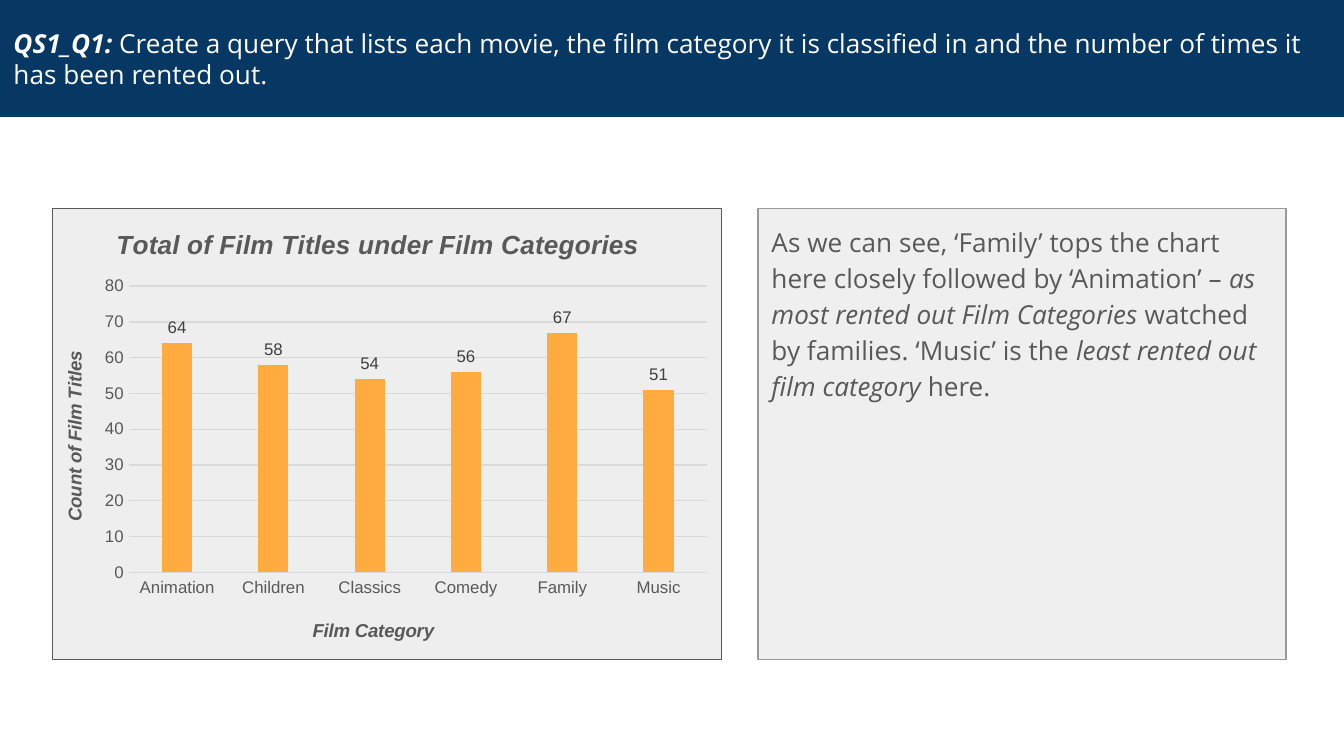
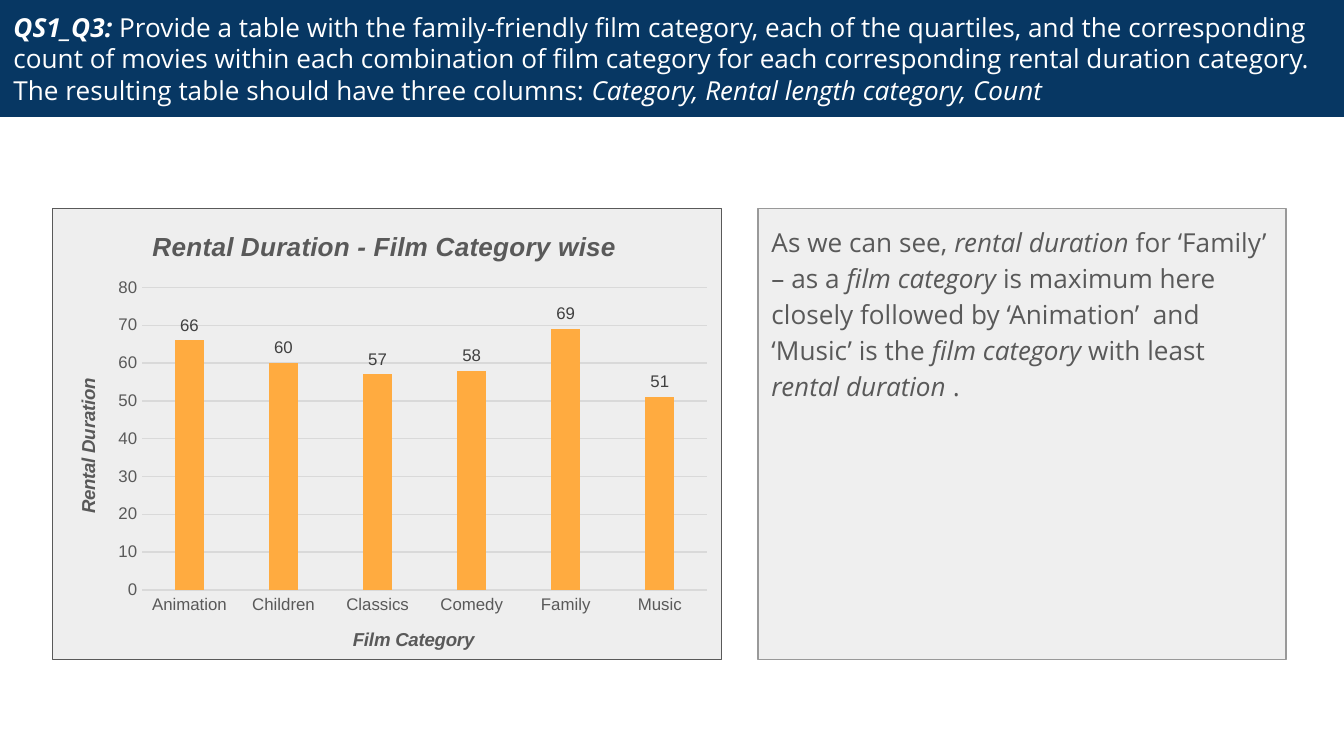
from pptx import Presentation
from pptx.chart.data import CategoryChartData
from pptx.dml.color import RGBColor
from pptx.enum.chart import XL_CHART_TYPE, XL_LABEL_POSITION, XL_TICK_MARK
from pptx.enum.shapes import MSO_SHAPE
from pptx.enum.text import MSO_ANCHOR, MSO_AUTO_SIZE, PP_ALIGN
from pptx.oxml import parse_xml
from pptx.oxml.ns import nsdecls, qn
from pptx.util import Inches, Pt

# Shared look
NAVY = RGBColor(0x07, 0x37, 0x63)
WHITE = RGBColor(0xFF, 0xFF, 0xFF)
ORANGE = RGBColor(0xFF, 0xAB, 0x40)
DARK_GREY = RGBColor(0x59, 0x59, 0x59)
LABEL_GREY = RGBColor(0x40, 0x40, 0x40)
EDGE_GREY = RGBColor(0x99, 0x99, 0x99)
GRID_GREY = RGBColor(0xD9, 0xD9, 0xD9)
PANEL_FILL = RGBColor(0xEE, 0xEE, 0xEE)
COMMENT_FILL = RGBColor(0xEF, 0xEF, 0xEF)
TEXT_FONT, CHART_FONT = "Open Sans", "Arial"

# Shared frames: left, top, width, height in inches
BAND = (0, 0, 10, 0.87)
PANEL = (0.39, 1.55, 4.98, 3.36)
COMMENT = (5.64, 1.55, 3.93, 3.36)

CATEGORIES = ["Animation", "Children", "Classics", "Comedy", "Family", "Music"]

# Text runs are (text, style): b is bold, i is italic
SLIDES = [
    {
        "question": [
            ("QS1_Q1: ", "bi"),
            ("Create a query that lists each movie, the film category it is "
             "classified in and the number of times it has been rented out.", ""),
        ],
        "comment": [
            ("As we can see, ‘Family’ tops the chart here closely followed by "
             "‘Animation’ – ", ""),
            ("as most rented out Film Categories", "i"),
            (" watched by families. ‘Music’ is the ", ""),
            ("least rented out film category ", "i"),
            ("here.", ""),
        ],
        "frame": (0.26, 1.55, 5.11, 3.36),
        "plot": (0.96, 2.13, 4.3, 2.13),
        "values": [64, 58, 54, 56, 67, 51],
        "heading": ("Total of Film Titles under Film Categories", 0.83, 1.66),
        "category_title": ("Film Category", 2.3, 4.58),
        "value_title": ("Count of Film Titles", 0.44, 2.59),
    },
    {
        "question": [
            ("QS1_Q3:", "bi"),
            (" Provide a table with the family-friendly film category, each of "
             "the quartiles, and the corresponding count of movies within each "
             "combination of film category for each corresponding rental "
             "duration category. The resulting table should have three "
             "columns: ", ""),
            ("Category, Rental length category, Count", "i"),
        ],
        "comment": [
            ("As we can see, ", ""),
            ("rental duration", "i"),
            (" for ‘Family’ – as a ", ""),
            ("film category", "i"),
            (" is maximum here closely followed by ‘Animation’  and "
             "‘Music’ is the ", ""),
            ("film category ", "i"),
            ("with least ", ""),
            ("rental duration", "i"),
            (" .", ""),
        ],
        "frame": (0.36, 1.55, 5, 3.49),
        "plot": (1.06, 2.14, 4.2, 2.25),
        "values": [66, 60, 57, 58, 69, 51],
        "heading": ("Rental Duration - Film Category wise", 1.1, 1.67),
        "category_title": ("Film Category", 2.6, 4.64),
        "value_title": ("Rental Duration", 0.54, 2.79),
    },
]


def style_font(font, name, size, color, style=""):
    font.name, font.size = name, Pt(size)
    font.color.rgb = color
    font.bold, font.italic = "b" in style, "i" in style


def paint(shape, fill, edge=None):
    shape.fill.solid()
    shape.fill.fore_color.rgb = fill
    if edge is None:
        shape.line.fill.background()
    else:
        shape.line.color.rgb = edge
        shape.line.width = Pt(0.75)


def fill_placeholder(holder, frame, runs, color, anchor):
    """Move a placeholder and write its one paragraph; return the paragraph."""
    holder.left, holder.top, holder.width, holder.height = map(Inches, frame)
    text = holder.text_frame
    text.word_wrap = True
    text.auto_size = MSO_AUTO_SIZE.NONE
    text.vertical_anchor = anchor
    text.margin_left = text.margin_right = Inches(0.1)
    text.margin_top = text.margin_bottom = Inches(0.1)
    paragraph = text.paragraphs[0]
    paragraph.alignment = PP_ALIGN.LEFT
    paragraph.space_before = Pt(0)
    for words, style in runs:
        run = paragraph.add_run()
        run.text = words
        style_font(run.font, TEXT_FONT, 14, color, style)
    return paragraph


def add_question(slide, runs):
    band = slide.shapes.title
    paint(band, NAVY)
    fill_placeholder(band, BAND, runs, WHITE, MSO_ANCHOR.MIDDLE)


def add_comment(slide, runs):
    comment = slide.placeholders[1]
    paint(comment, COMMENT_FILL, EDGE_GREY)
    paragraph = fill_placeholder(comment, COMMENT, runs, DARK_GREY, MSO_ANCHOR.TOP)
    paragraph.line_spacing = 1.15
    paragraph.space_after = Pt(16)
    # Plain paragraph: no bullet, no hanging indent
    properties = paragraph._p.get_or_add_pPr()
    properties.set("marL", "0")
    properties.set("indent", "0")
    properties.append(parse_xml(f"<a:buNone {nsdecls('a')}/>"))


def add_panel(slide):
    panel = slide.shapes.add_shape(MSO_SHAPE.RECTANGLE, *map(Inches, PANEL))
    panel.shadow.inherit = False
    paint(panel, PANEL_FILL, DARK_GREY)


def place(element, index, frame, spot):
    """Fix a chart part at a spot given in slide inches."""
    left, top, width, height = frame
    modes = [("xMode", "edge"), ("yMode", "edge")]
    parts = [("x", (spot[0] - left) / width), ("y", (spot[1] - top) / height)]
    if len(spot) == 4:
        modes.insert(0, ("layoutTarget", "inner"))
        parts += [("w", spot[2] / width), ("h", spot[3] / height)]
    inner = "".join(f'<c:{tag} val="{value}"/>' for tag, value in modes + parts)
    for old in element.findall(qn("c:layout")):
        element.remove(old)
    element.insert(index, parse_xml(
        f"<c:layout {nsdecls('c')}><c:manualLayout>{inner}"
        "</c:manualLayout></c:layout>"))


def write_chart_title(title, content, size, frame, rotation=0):
    words, left, top = content
    text = title.text_frame
    run = text.paragraphs[0].add_run()
    run.text = words
    style_font(run.font, CHART_FONT, size, DARK_GREY, "bi")
    text._txBody.bodyPr.set("rot", str(rotation * 60000))
    place(title._element, 1, frame, (left, top))


def style_axis(axis):
    axis.major_tick_mark = axis.minor_tick_mark = XL_TICK_MARK.NONE
    style_font(axis.tick_labels.font, CHART_FONT, 9, DARK_GREY)


def add_film_chart(slide, content):
    frame = content["frame"]
    data = CategoryChartData()
    data.categories = CATEGORIES
    data.add_series("Series 1", content["values"])
    chart = slide.shapes.add_chart(
        XL_CHART_TYPE.COLUMN_CLUSTERED, *map(Inches, frame), data).chart
    chart.has_legend = False
    chart.font.name, chart.font.size = CHART_FONT, Pt(10)

    # Columns and their values
    columns = chart.plots[0]
    columns.vary_by_categories = False
    columns.gap_width, columns.overlap = 219, -27
    films = columns.series[0]
    films.format.fill.solid()
    films.format.fill.fore_color.rgb = ORANGE
    counts = films.data_labels
    counts.show_value = True
    counts.position = XL_LABEL_POSITION.OUTSIDE_END
    style_font(counts.font, CHART_FONT, 9, LABEL_GREY)

    # Axes and grid
    categories, scale = chart.category_axis, chart.value_axis
    style_axis(categories)
    style_axis(scale)
    scale.minimum_scale, scale.maximum_scale, scale.major_unit = 0, 80, 10
    scale.format.line.fill.background()
    for line in (categories.format.line, scale.major_gridlines.format.line):
        line.color.rgb = GRID_GREY
        line.width = Pt(0.75)

    # Titles and plot position
    write_chart_title(chart.chart_title, content["heading"], 14, frame)
    chart.chart_title.include_in_layout = False
    write_chart_title(categories.axis_title, content["category_title"], 10, frame)
    write_chart_title(scale.axis_title, content["value_title"], 10, frame, -90)
    chart_space = chart._chartSpace
    place(chart_space.chart.plotArea, 0, frame, content["plot"])

    # Let the panel show through
    chart_space.chart.addnext(parse_xml(
        f"<c:spPr {nsdecls('c', 'a')}><a:noFill/><a:ln><a:noFill/></a:ln></c:spPr>"))


def main():
    deck = Presentation()
    # Widescreen, 16 to 9
    deck.slide_width = Inches(10)
    deck.slide_height = deck.slide_width * 9 // 16
    for content in SLIDES:
        slide = deck.slides.add_slide(deck.slide_layouts[1])
        add_question(slide, content["question"])
        add_comment(slide, content["comment"])
        add_panel(slide)
        add_film_chart(slide, content)
    deck.save("out.pptx")


main()
